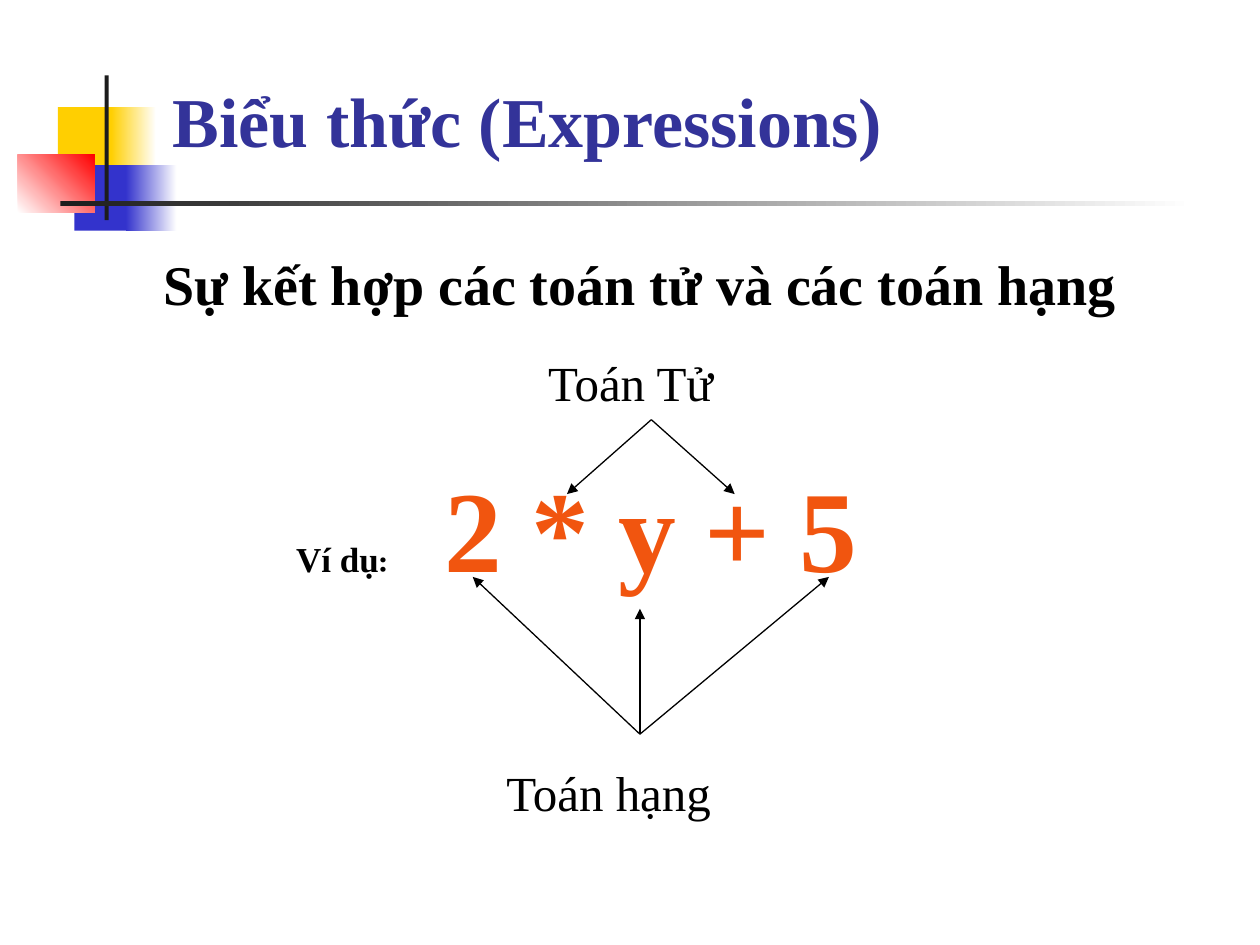
from dataclasses import dataclass
from typing import Optional

from lxml.etree import SubElement
from pptx import Presentation
from pptx.dml.color import RGBColor
from pptx.enum.shapes import MSO_CONNECTOR, MSO_SHAPE
from pptx.enum.text import MSO_ANCHOR, MSO_AUTO_SIZE, PP_ALIGN
from pptx.oxml.ns import qn
from pptx.util import Cm, Pt


@dataclass(frozen=True)
class Theme:
    font: str = "Times New Roman"
    colon_font: str = "Karla"
    title: str = "333399"
    text: str = "000000"
    accent: str = "F1550F"
    yellow: str = "FFCF01"
    blue: str = "3333CC"
    red: str = "FF0000"
    dark: str = "1C1C1C"
    white: str = "FFFFFF"
    title_size: int = 40
    heading_size: int = 32
    label_size: int = 28
    example_size: int = 20
    colon_size: int = 18
    expression_size: int = 66
    line_width: float = 0.75


T = Theme()


@dataclass(frozen=True)
class Box:
    left: float
    top: float
    width: float
    height: float

    def lengths(self) -> tuple:
        return Cm(self.left), Cm(self.top), Cm(self.width), Cm(self.height)


@dataclass(frozen=True)
class Block:
    box: Box
    color: str
    fade_to: Optional[str] = None
    angle: int = 0


@dataclass(frozen=True)
class Run:
    text: str
    size: int
    color: str = T.text
    bold: bool = False
    font: str = T.font


@dataclass(frozen=True)
class Text:
    box: Box
    runs: tuple
    indent: float = 0
    tab: Optional[float] = None


@dataclass(frozen=True)
class Fan:
    """Arrows that leave one point for several targets."""
    start: tuple
    ends: tuple


BLOCKS = (
    Block(Box(1.17, 2.16, 1.22, 1.32), T.yellow),
    Block(Box(2.24, 2.16, 0.91, 1.32), T.yellow, T.white),
    Block(Box(1.5, 3.33, 1.17, 1.32), T.blue),
    Block(Box(2.54, 3.33, 1.02, 1.32), T.blue, T.white),
    Block(Box(0.36, 3.12, 1.55, 1.17), T.white, T.red, 45),
    Block(Box(2.11, 1.52, 0.08, 2.92), T.dark),
    Block(Box(1.22, 4.06, 22.86, 0.1), T.dark, T.white),
)

TITLE_BOX = Box(3.23, 1.09, 19.2, 2.29)
TITLE = Run("Biểu thức (Expressions)", T.title_size, T.title, True)

TEXTS = (
    Text(Box(1.07, 4.9, 23.7, 1.63),
         (Run("Sự kết hợp các toán tử và các toán hạng", T.heading_size, bold=True),),
         indent=1.98),
    Text(Box(9.96, 15.24, 5.92, 1.45), (Run("Toán hạng", T.label_size),)),
    Text(Box(10.8, 6.99, 4.65, 1.45), (Run("Toán Tử", T.label_size),)),
    Text(Box(5.72, 9.09, 14.61, 3.05),
         (Run("Ví dụ", T.example_size, bold=True),
          Run(":", T.colon_size, bold=True, font=T.colon_font),
          Run("\t2 * y + 5", T.expression_size, T.accent, True)),
         tab=3),
)

FANS = (
    Fan((12.9, 14.8), ((9.53, 11.63), (16.71, 11.63), (12.9, 12.27))),
    Fan((13.13, 8.46), ((11.43, 9.96), (14.81, 9.96))),
)


def rgb(color: str) -> RGBColor:
    return RGBColor.from_string(color)


def add_block(slide, block: Block) -> None:
    sp = slide.shapes.add_shape(MSO_SHAPE.RECTANGLE, *block.box.lengths())
    sp.shadow.inherit = False
    sp.line.fill.background()
    if block.fade_to is None:
        sp.fill.solid()
        sp.fill.fore_color.rgb = rgb(block.color)
        return
    sp.fill.gradient()
    sp.fill.gradient_angle = block.angle
    for stop, color in zip(sp.fill.gradient_stops, (block.color, block.fade_to)):
        stop.color.rgb = rgb(color)


def add_run(p, run: Run) -> None:
    r = p.add_run()
    r.text = run.text
    r.font.name = run.font
    r.font.size = Pt(run.size)
    r.font.bold = run.bold
    r.font.color.rgb = rgb(run.color)


def set_title(slide) -> None:
    sp = slide.shapes.title
    sp.left, sp.top, sp.width, sp.height = TITLE_BOX.lengths()
    tf = sp.text_frame
    tf.auto_size = MSO_AUTO_SIZE.NONE
    tf.vertical_anchor = MSO_ANCHOR.BOTTOM
    p = tf.paragraphs[0]
    p.alignment = PP_ALIGN.LEFT
    add_run(p, TITLE)


def add_text(slide, text: Text) -> None:
    tf = slide.shapes.add_textbox(*text.box.lengths()).text_frame
    tf.word_wrap = True
    tf.auto_size = MSO_AUTO_SIZE.SHAPE_TO_FIT_TEXT
    p = tf.paragraphs[0]
    pPr = p._p.get_or_add_pPr()
    if text.indent:
        pPr.set("marL", str(Cm(text.indent)))
    if text.tab is not None:
        tabs = SubElement(pPr, qn("a:tabLst"))
        SubElement(tabs, qn("a:tab"), pos=str(Cm(text.tab)), algn="l")
    for run in text.runs:
        add_run(p, run)


def add_fan(slide, fan: Fan) -> None:
    for end in fan.ends:
        line = slide.shapes.add_connector(
            MSO_CONNECTOR.STRAIGHT, *map(Cm, fan.start + end))
        line.line.color.rgb = rgb(T.text)
        line.line.width = Pt(T.line_width)
        SubElement(line.line._get_or_add_ln(), qn("a:tailEnd"), type="triangle")
        SubElement(line._element.spPr, qn("a:effectLst"))


def main() -> None:
    prs = Presentation()
    prs.slide_width, prs.slide_height = Cm(25.4), Cm(19.05)
    slide = prs.slides.add_slide(prs.slide_layouts[5])
    for block in BLOCKS:
        add_block(slide, block)
    set_title(slide)
    for fan in FANS:
        add_fan(slide, fan)
    for text in TEXTS:
        add_text(slide, text)
    prs.save("out.pptx")


if __name__ == "__main__":
    main()
